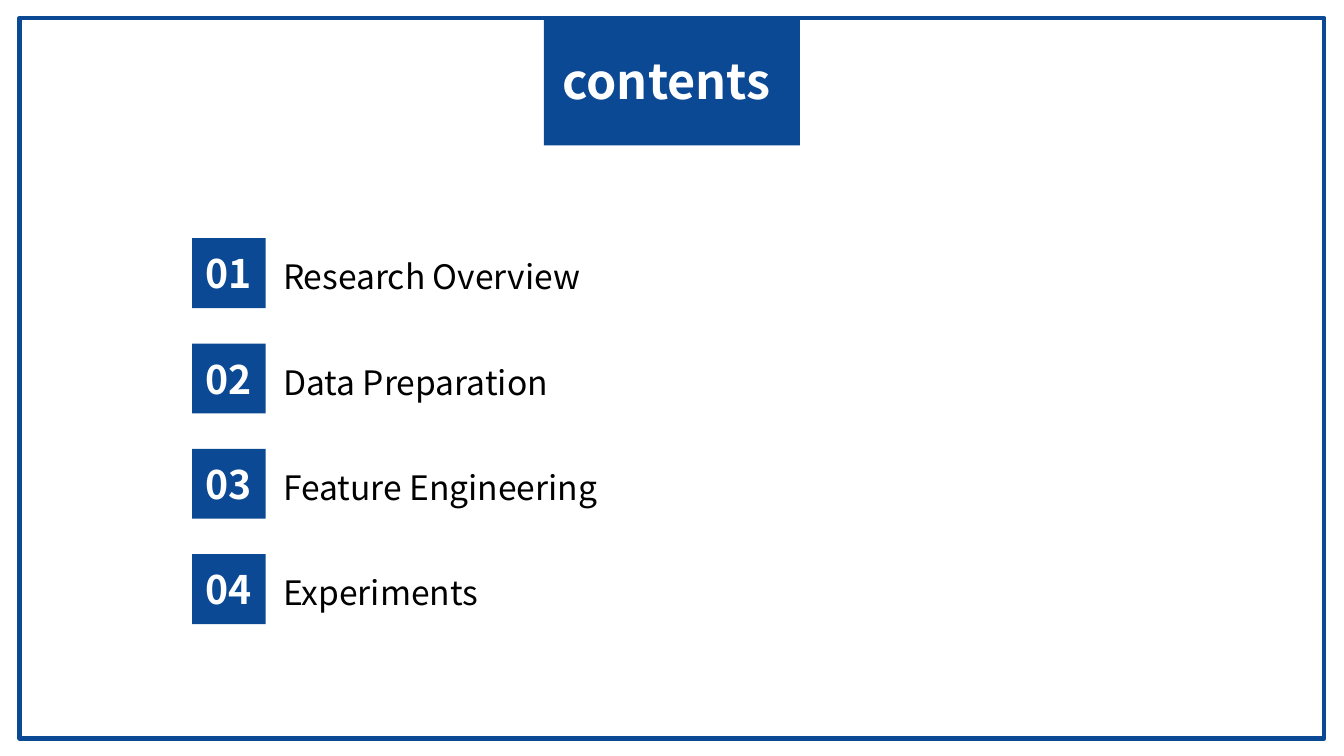
from pptx import Presentation
from pptx.dml.color import RGBColor
from pptx.enum.shapes import MSO_SHAPE
from pptx.enum.text import MSO_ANCHOR, PP_ALIGN
from pptx.util import Cm, Pt

RECTANGLE = MSO_SHAPE.RECTANGLE
TOP, MIDDLE = MSO_ANCHOR.TOP, MSO_ANCHOR.MIDDLE
LEFT, CENTER = PP_ALIGN.LEFT, PP_ALIGN.CENTER

FONT = "Noto Sans CJK SC"
BLUE, WHITE, BLACK = "0C4994", "FFFFFF", "000000"
CHAPTERS = [
    "Research Overview",
    "Data Preparation",
    "Feature Engineering",
    "Experiments",
]
FIRST_TOP, PITCH = 4.5, 1.99


def color(value):
    return RGBColor.from_string(value)


def write(shape, text, size, text_color, bold=False, align=LEFT, anchor=TOP):
    frame = shape.text_frame
    frame.word_wrap = True
    frame.vertical_anchor = anchor
    frame.margin_left = frame.margin_right = Cm(0.19)
    frame.margin_top = frame.margin_bottom = Cm(0.1)
    paragraph = frame.paragraphs[0]
    paragraph.text = text
    paragraph.alignment = align
    paragraph.font.name = FONT
    paragraph.font.size = Pt(size)
    paragraph.font.bold = bold
    paragraph.font.color.rgb = color(text_color)


def add_block(slide, left, top, width, height):
    block = slide.shapes.add_shape(
        RECTANGLE, Cm(left), Cm(top), Cm(width), Cm(height))
    block.shadow.inherit = False
    block.fill.solid()
    block.fill.fore_color.rgb = color(BLUE)
    block.line.fill.background()
    return block


def add_frame(slide, left, top, width, height):
    frame = add_block(slide, left, top, width, height)
    frame.fill.background()
    frame.line.color.rgb = color(BLUE)
    frame.line.width = Pt(2.25)


def add_label(slide, left, top, width, height, text, size, text_color, bold=False):
    label = slide.shapes.add_textbox(Cm(left), Cm(top), Cm(width), Cm(height))
    write(label, text, size, text_color, bold)


def add_chapter(slide, number, title):
    top = FIRST_TOP + (number - 1) * PITCH
    add_label(slide, 5.16, top + 0.24, 16.61, 0.97, title, 18, BLACK)
    badge = add_block(slide, 3.63, top, 1.39, 1.32)
    write(badge, f"{number:02}", 21, WHITE, True, CENTER, MIDDLE)


def main():
    deck = Presentation()
    deck.slide_width, deck.slide_height = Cm(25.4), Cm(14.28)
    slide = deck.slides.add_slide(deck.slide_layouts[6])
    slide.background.fill.solid()
    slide.background.fill.fore_color.rgb = color(WHITE)

    add_frame(slide, 0.37, 0.34, 24.66, 13.61)
    add_block(slide, 10.28, 0.34, 4.84, 2.41)
    add_label(slide, 10.44, 0.86, 5.21, 2.41, "contents", 26, WHITE, True)
    for number, title in enumerate(CHAPTERS, 1):
        add_chapter(slide, number, title)

    deck.save("out.pptx")


if __name__ == "__main__":
    main()
